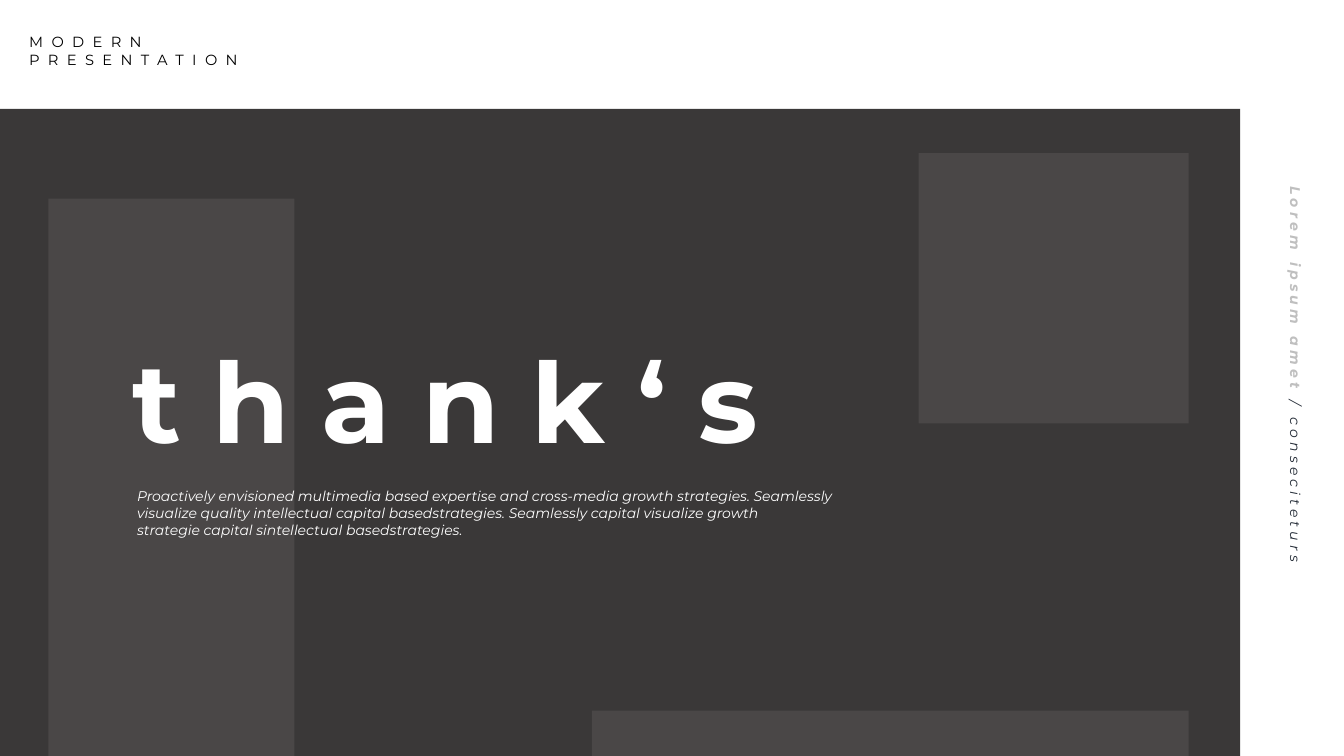
from lxml import etree
from pptx import Presentation
from pptx.dml.color import RGBColor
from pptx.enum import shapes, text
from pptx.oxml.ns import qn
from pptx.util import Inches, Pt

FONT = "Montserrat"
BACKDROP = (0, 1.08, 12.3, 6.42)
PANELS = [
    (0.48, 1.97, 2.44, 5.53),
    (9.11, 1.52, 2.68, 2.68),
    (5.87, 7.05, 5.92, 0.45),
]
TITLE = "t h a n k ‘ s"
HEADER = ["MODERN", "PRESENTATION"]
BODY = [
    "Proactively envisioned multimedia based expertise and cross-media growth strategies. "
    "Seamlessly visualize quality intellectual capital basedstrategies. "
    "Seamlessly capital visualize growth",
    "strategie capital sintellectual basedstrategies.",
]
SIDE_NOTE = [("Lorem ipsum amet ", "BFBFBF", True), ("/ conseciteturs ", "222A35", False)]


def paint(target, color):
    target.rgb = RGBColor.from_string(color)


def style(font, size, color, bold=False, italic=False):
    font.name, font.size = FONT, Pt(size)
    font.bold, font.italic = bold, italic
    paint(font.color, color)


def add_panel(page, place, color, opacity=100):
    panel = page.shapes.add_shape(shapes.MSO_SHAPE.RECTANGLE, *map(Inches, place))
    panel.shadow.inherit = False
    panel.line.fill.background()
    panel.fill.solid()
    paint(panel.fill.fore_color, color)
    if opacity < 100:
        tone = panel.fill._xPr.find(qn("a:solidFill"))[0]
        etree.SubElement(tone, qn("a:alpha")).set("val", str(opacity * 1000))


def add_box(page, place, inset=True):
    box = page.shapes.add_textbox(*map(Inches, place))
    frame = box.text_frame
    frame.word_wrap = True
    if not inset:
        frame.margin_left = frame.margin_top = frame.margin_right = frame.margin_bottom = 0
    return box


def write_lines(box, lines, size, color, italic=False, spacing=0):
    box.text_frame.text = "\n".join(lines)
    for para in box.text_frame.paragraphs:
        style(para.font, size, color, italic=italic)
        for span in para.runs:
            space_letters(span, spacing)


def space_letters(span, points):
    if points:
        span._r.get_or_add_rPr().set("spc", str(points * 100))


def place_title(page):
    title = page.shapes.title
    title.left, title.top, title.width, title.height = map(Inches, (1.21, 3.24, 7.59, 1.45))
    frame = title.text_frame
    frame.text = TITLE
    frame.word_wrap = True
    frame.auto_size = text.MSO_AUTO_SIZE.NONE
    frame.vertical_anchor = text.MSO_ANCHOR.TOP
    para = frame.paragraphs[0]
    para.alignment = text.PP_ALIGN.LEFT
    style(para.font, 80, "FFFFFF", bold=True)
    page.shapes._spTree.append(title._element)


def add_side_note(page):
    box = add_box(page, (9.28, 3.61, 7.16, 0.28))
    box.rotation = 90
    para = box.text_frame.paragraphs[0]
    para.alignment = text.PP_ALIGN.CENTER
    para.line_spacing = 1.1
    for words, color, bold in SIDE_NOTE:
        span = para.add_run()
        span.text = words
        style(span.font, 10, color, bold=bold, italic=True)
        space_letters(span, 3)


def main():
    deck = Presentation()
    deck.slide_width, deck.slide_height = Inches(13.33), Inches(7.5)
    page = deck.slides.add_slide(deck.slide_layouts[5])
    add_panel(page, BACKDROP, "3A3838")
    for place in PANELS:
        add_panel(page, place, "8A8686", opacity=20)
    header = add_box(page, (0.29, 0.33, 2.87, 0.35), inset=False)
    write_lines(header, HEADER, 10.5, "000000", spacing=6)
    add_side_note(page)
    place_title(page)
    body = add_box(page, (1.36, 4.84, 6.92, 0.5), inset=False)
    write_lines(body, BODY, 10, "FFFFFF", italic=True)
    deck.save("out.pptx")


if __name__ == "__main__":
    main()
